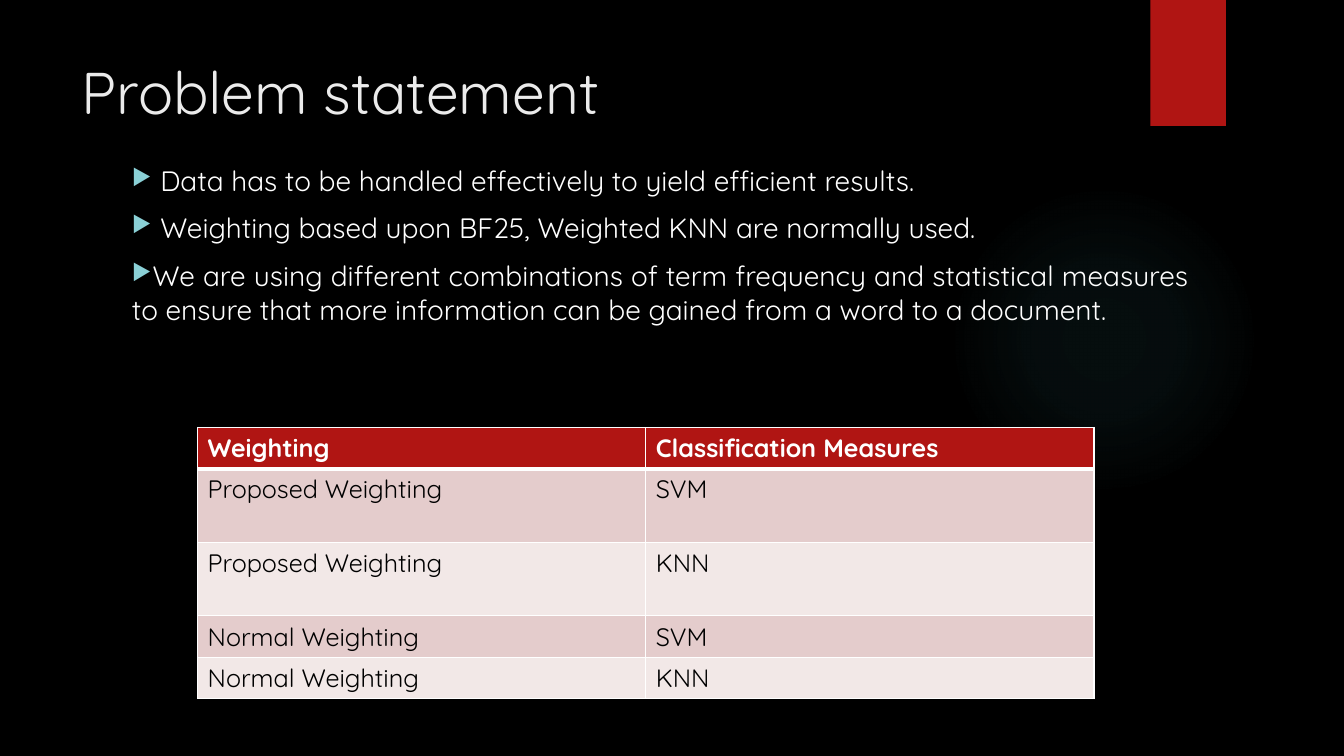
from lxml.etree import SubElement
from pptx import Presentation
from pptx.dml.color import RGBColor
from pptx.enum.shapes import MSO_SHAPE
from pptx.enum.text import MSO_ANCHOR, PP_ALIGN
from pptx.oxml.ns import qn
from pptx.util import Inches, Pt

BULLETS = [
    " Data has to be handled effectively to yield efficient results.",
    " Weighting based upon BF25, Weighted KNN are normally used.",
    "We are using different combinations of term frequency and statistical measures "
    "to ensure that more information can be gained from a word to a document.",
]
MEASURES = [
    ("Weighting", "Classification Measures"),
    ("Proposed Weighting", "SVM"),
    ("Proposed Weighting", "KNN"),
    ("Normal Weighting", "SVM"),
    ("Normal Weighting", "KNN"),
]
ROW_HEIGHTS = [0.41, 0.73, 0.73, 0.41, 0.41]
RED, TEAL, WHITE, BLACK = "B01513", "50B9C1", "FFFFFF", "000000"
BANDS = ["F2E8E7", "E4CCCC"]


def rgb(code):
    return RGBColor.from_string(code)


def apply(target, **values):
    for name, value in values.items():
        setattr(target, name, value)


def add_xml(parent, tag, **attributes):
    return SubElement(parent, qn(tag), {k: str(v) for k, v in attributes.items()})


class StatementSlide:
    font = "Quicksand"

    def __init__(self, presentation):
        self.slide = presentation.slides.add_slide(presentation.slide_layouts[5])
        background = self.slide.background.fill
        background.solid()
        background.fore_color.rgb = rgb(BLACK)

    def place(self, box):
        return [Inches(length) for length in box]

    def style(self, font, size, color, bold=False):
        apply(font, name=self.font, size=Pt(size), bold=bold)
        font.color.rgb = rgb(color)

    def shape(self, preset, box, color):
        shape = self.slide.shapes.add_shape(preset, *self.place(box))
        shape.shadow.inherit = False
        shape.line.fill.background()
        shape.fill.solid()
        shape.fill.fore_color.rgb = rgb(color)
        return shape

    def glow(self, box, color, stops):
        glow = self.shape(MSO_SHAPE.OVAL, box, color)
        glow.fill.gradient()
        gradient = glow.element.spPr.find(qn("a:gradFill"))
        for child in list(gradient):
            gradient.remove(child)
        stop_list = add_xml(gradient, "a:gsLst")
        for position, opacity in stops:
            stop = add_xml(stop_list, "a:gs", pos=position * 1000)
            tint = add_xml(stop, "a:srgbClr", val=color)
            add_xml(tint, "a:alpha", val=opacity * 1000)
        center = add_xml(gradient, "a:path", path="circle")
        add_xml(center, "a:fillToRect", **dict.fromkeys("ltrb", 50000))

    def title(self, text, box):
        title = self.slide.shapes.title
        apply(title, **dict(zip(("left", "top", "width", "height"), self.place(box))))
        apply(title.text_frame, text=text, word_wrap=True, vertical_anchor=MSO_ANCHOR.TOP)
        heading = title.text_frame.paragraphs[0]
        heading.alignment = PP_ALIGN.LEFT
        self.style(heading.runs[0].font, 42, "EBEBEB")

    def bullets(self, items, box):
        frame = self.slide.shapes.add_textbox(*self.place(box)).text_frame
        apply(frame, word_wrap=True, text="\n".join(items))
        for paragraph in frame.paragraphs:
            apply(paragraph, alignment=PP_ALIGN.JUSTIFY, space_before=Pt(10))
            self.style(paragraph.runs[0].font, 20, WHITE)
            properties = paragraph._p.get_or_add_pPr()
            apply_indent = {"marL": "0", "indent": "0"}
            for name, value in apply_indent.items():
                properties.set(name, value)
            add_xml(add_xml(properties, "a:buClr"), "a:srgbClr", val="8AD0D6")
            add_xml(properties, "a:buSzPct", val=80000)
            add_xml(properties, "a:buChar", char="▶")

    def cell(self, cell, text, fill, color, header):
        cell.text = text
        self.style(cell.text_frame.paragraphs[0].runs[0].font, 18, color, header)
        properties = cell._tc.get_or_add_tcPr()
        for side in "LRTB":
            width = 3 if header and side == "B" else 1
            border = add_xml(properties, f"a:ln{side}", w=Pt(width))
            add_xml(add_xml(border, "a:solidFill"), "a:srgbClr", val=WHITE)
        cell.fill.solid()
        cell.fill.fore_color.rgb = rgb(fill)

    def table(self, rows, heights, box):
        table = self.slide.shapes.add_table(len(rows), len(rows[0]), *self.place(box)).table
        table.horz_banding = False
        for r, (row, height) in enumerate(zip(rows, heights)):
            table.rows[r].height = Inches(height)
            header = r == 0
            fill, color = (RED, WHITE) if header else (BANDS[r % 2], BLACK)
            for c, text in enumerate(row):
                self.cell(table.cell(r, c), text, fill, color, header)


def main():
    presentation = Presentation()
    apply(presentation, slide_width=Inches(13.33), slide_height=Inches(7.5))
    statement = StatementSlide(presentation)
    statement.glow((9.41, 1.83, 3.08, 3.08), TEAL, [(0, 7), (36, 6), (69, 0)])
    statement.shape(MSO_SHAPE.RECTANGLE, (11.41, 0, 0.75, 1.25), RED)
    statement.title("Problem statement", (0.71, 0.5, 10.29, 1.53))
    statement.bullets(BULLETS, (1.21, 1.57, 10.68, 5.26))
    statement.table(MEASURES, ROW_HEIGHTS, (1.96, 4.24, 8.89, sum(ROW_HEIGHTS)))
    presentation.save("out.pptx")


if __name__ == "__main__":
    main()
